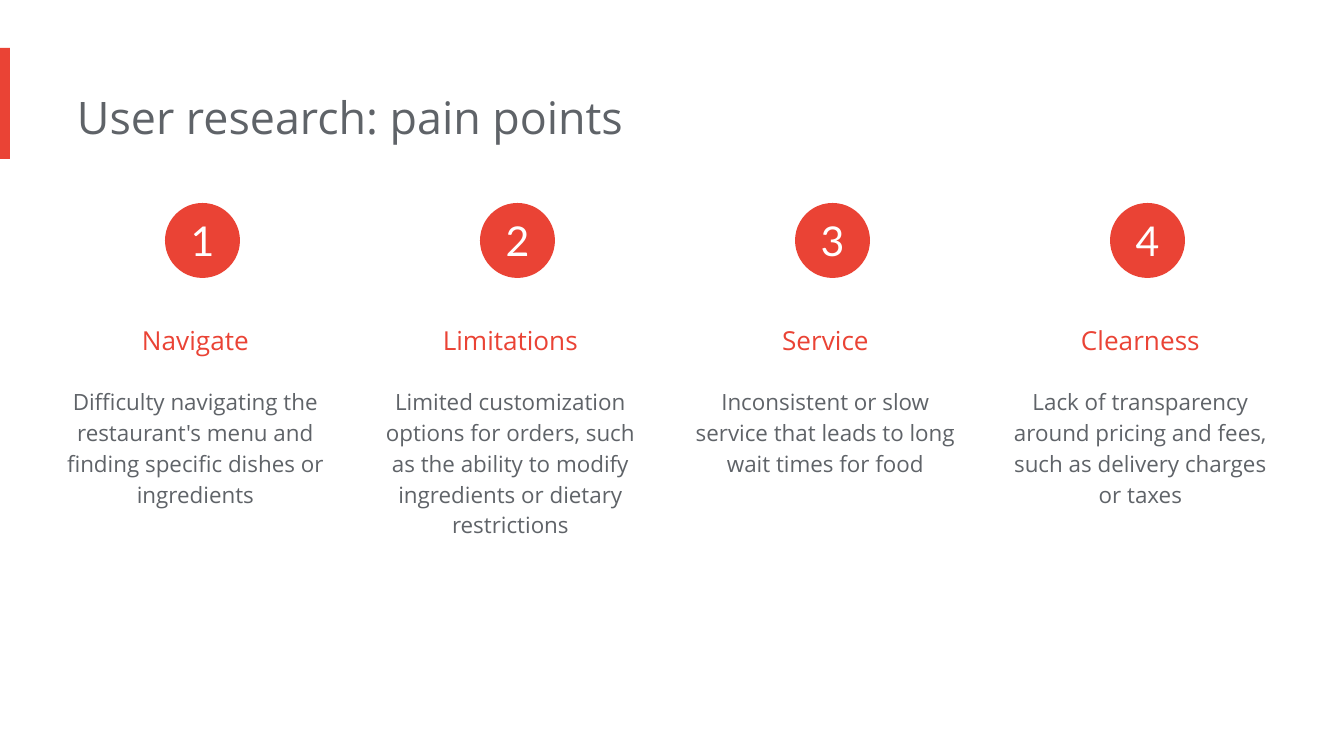
from pptx import Presentation
from pptx.dml.color import RGBColor
from pptx.enum.shapes import MSO_SHAPE
from pptx.enum.text import MSO_ANCHOR, MSO_AUTO_SIZE, PP_ALIGN
from pptx.util import Emu, Pt

# Content: heading, description, number of description lines
TITLE = "User research: pain points"
PAIN_POINTS = [
    ("Navigate", "Difficulty navigating the restaurant's menu and finding "
     "specific dishes or ingredients", 4),
    ("Limitations", "Limited customization options for orders, such as the "
     "ability to modify ingredients or dietary restrictions", 5),
    ("Service", "Inconsistent or slow service that leads to long wait times "
     "for food", 3),
    ("Clearness", "Lack of transparency around pricing and fees, such as "
     "delivery charges or taxes", 4),
]
COLORS = {"accent": "EA4335", "text": "5F6368", "white": "FFFFFF"}

# Layout in pixels
SCALE = 914400 / 134.4
COLUMN_LEFT, COLUMN_PITCH, COLUMN_WIDTH = 64, 315, 276
CIRCLE_LEFT, CIRCLE_TOP, CIRCLE_SIZE = 165, 203, 75
HEADING_TOP, HEADING_HEIGHT = 296, 75
LINE_HEIGHT, TEXT_PADDING = 31, 28
INSET = 13


def px(*lengths):
    return [Emu(round(length * SCALE)) for length in lengths]


def color(name):
    return RGBColor.from_string(COLORS[name])


def write(shape, text, size, ink, font="Open Sans", align=PP_ALIGN.CENTER,
          spacing=1.0, anchor=MSO_ANCHOR.TOP, insets=(0, INSET, INSET, INSET),
          auto_size=MSO_AUTO_SIZE.SHAPE_TO_FIT_TEXT):
    frame = shape.text_frame
    frame.word_wrap = True
    frame.auto_size = auto_size
    frame.vertical_anchor = anchor
    (frame.margin_left, frame.margin_top,
     frame.margin_right, frame.margin_bottom) = px(*insets)
    paragraph = frame.paragraphs[0]
    paragraph.alignment = align
    paragraph.line_spacing = spacing
    run = paragraph.add_run()
    run.text = text
    run.font.name = font
    run.font.size = Pt(size)
    run.font.color.rgb = color(ink)


def add_filled(kind, *box):
    shape = slide.shapes.add_shape(kind, *px(*box))
    shape.shadow.inherit = False
    shape.fill.solid()
    shape.fill.fore_color.rgb = color("accent")
    shape.line.fill.background()
    return shape


prs = Presentation()
prs.slide_width, prs.slide_height = px(1344, 756)
slide = prs.slides.add_slide(prs.slide_layouts[5])
slide.background.fill.solid()
slide.background.fill.fore_color.rgb = color("white")

# Accent bar and title
add_filled(MSO_SHAPE.RECTANGLE, 0, 48, 10, 111)
title = slide.shapes.title
title.left, title.top, title.width, title.height = px(77, 77, 905, 82)
write(title, TITLE, 24, "text", align=PP_ALIGN.LEFT)

# One column per pain point
for index, (heading, description, lines) in enumerate(PAIN_POINTS):
    offset = index * COLUMN_PITCH
    left = COLUMN_LEFT + offset

    circle = add_filled(MSO_SHAPE.OVAL, CIRCLE_LEFT + offset, CIRCLE_TOP,
                        CIRCLE_SIZE, CIRCLE_SIZE)
    write(circle, str(index + 1), 22, "white", font="Lato",
          anchor=MSO_ANCHOR.MIDDLE, insets=(0, 0, 0, 0),
          auto_size=MSO_AUTO_SIZE.NONE)

    heading_box = slide.shapes.add_textbox(
        *px(left, HEADING_TOP, COLUMN_WIDTH, HEADING_HEIGHT))
    write(heading_box, heading, 14, "accent", spacing=1.5)

    description_box = slide.shapes.add_textbox(
        *px(left, HEADING_TOP + HEADING_HEIGHT, COLUMN_WIDTH,
            TEXT_PADDING + lines * LINE_HEIGHT))
    write(description_box, description, 12, "text", spacing=1.15)

prs.save("out.pptx")
